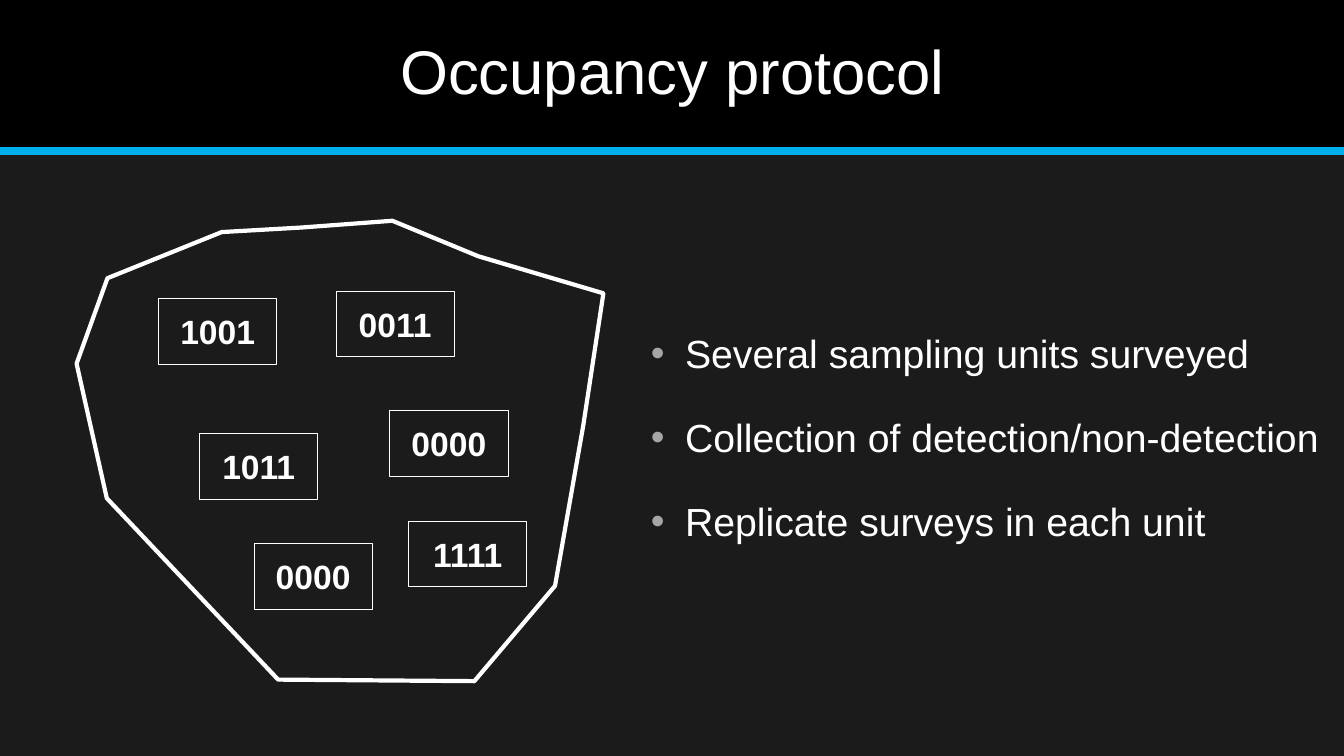
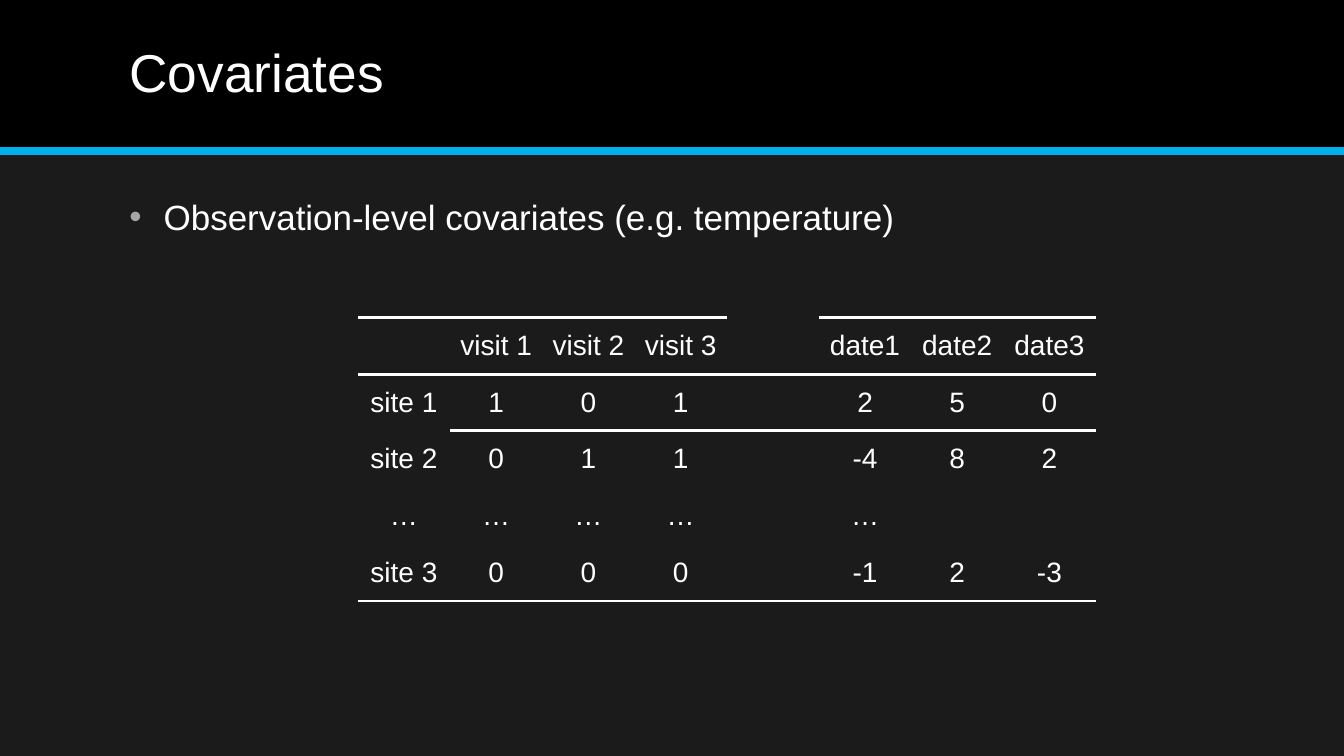
from typing import NamedTuple

from lxml import etree
from pptx import Presentation
from pptx.dml.color import RGBColor
from pptx.enum.shapes import MSO_CONNECTOR, MSO_SHAPE
from pptx.enum.text import MSO_ANCHOR, PP_ALIGN
from pptx.oxml.ns import qn
from pptx.util import Inches, Pt

LEFT, CENTER = PP_ALIGN.LEFT, PP_ALIGN.CENTER
TOP, MIDDLE = MSO_ANCHOR.TOP, MSO_ANCHOR.MIDDLE
RECT, STRAIGHT = MSO_SHAPE.RECTANGLE, MSO_CONNECTOR.STRAIGHT

WIDTH, HEIGHT = Inches(13.33), Inches(7.5)
FONT = "Arial"
BACK, BAND, ACCENT = "1B1B1B", "000000", "00B0EA"
WHITE, GREY = "FFFFFF", "A6A6A6"
PLAIN = "{2D5ABB26-0587-4C30-8999-92F81FD0307C}"
BAND_H = 20
PLOT_W, PLOT_H = 8.8, 8.7
GAP_COL = 4


class Box(NamedTuple):
    """A frame in percent of the slide's width and height."""
    x: float
    y: float
    w: float
    h: float


class Plot(NamedTuple):
    """A sampling unit: its corner in percent and its survey history."""
    x: float
    y: float
    text: str


HEAD = Box(8.8, 1.9, 82.5, 16)
AREA = [(16.5, 30.7), (8, 36.8), (5.7, 48.1), (7.95, 65.9), (20.7, 89.9),
        (35.3, 90.1), (41.3, 77.5), (43.4, 56.3), (44.9, 38.8),
        (35.6, 33.9), (29.2, 29.2), (22.4, 30.1)]
PLOTS = [
    Plot(11.8, 39.5, "1001"), Plot(25, 38.5, "0011"),
    Plot(14.85, 57.3, "1011"), Plot(29, 54.3, "0000"),
    Plot(18.9, 71.9, "0000"), Plot(30.4, 68.9, "1111"),
]
POINTS = [
    "Several sampling units surveyed",
    "Collection of detection/non-detection",
    "Replicate surveys in each unit",
]
ROWS = [
    ["", "visit 1", "visit 2", "visit 3", "", "date1", "date2", "date3"],
    ["site 1", "1", "0", "1", "", "2", "5", "0"],
    ["site 2", "0", "1", "1", "", "-4", "8", "2"],
    ["…", "…", "…", "…", "", "…", "", ""],
    ["site 3", "0", "0", "0", "", "-1", "2", "-3"],
]


def color(code: str) -> RGBColor:
    """Turn a hex string into a colour."""
    return RGBColor.from_string(code)


def across(share: float) -> int:
    """Turn a percentage of the slide's width into a length."""
    return round(WIDTH * share / 100)


def down(share: float) -> int:
    """Turn a percentage of the slide's height into a length."""
    return round(HEIGHT * share / 100)


def place(box: Box) -> tuple[int, int, int, int]:
    """Turn a box into left, top, width and height."""
    return across(box.x), down(box.y), across(box.w), down(box.h)


def bullet(para) -> None:
    """Give a paragraph a grey bullet and a hanging indent."""
    props = para._p.get_or_add_pPr()
    props.set("marL", str(Inches(0.34)))
    props.set("indent", str(-Inches(0.34)))
    tint = etree.SubElement(props, qn("a:buClr"))
    etree.SubElement(tint, qn("a:srgbClr"), val=GREY)
    etree.SubElement(props, qn("a:buFont"), typeface=FONT)
    etree.SubElement(props, qn("a:buChar"), char="•")


def write(frame, lines: list[str], *, size: float, align=LEFT, anchor=TOP,
          bold: bool = False, marks: bool = False, lead: float = 1,
          gap: float = 0) -> None:
    """Fill a text frame with one paragraph per line."""
    frame.word_wrap = True
    frame.vertical_anchor = anchor
    frame.margin_left = frame.margin_right = Inches(0.11)
    frame.margin_top = frame.margin_bottom = Inches(0.06)
    for row, line in enumerate(lines):
        para = frame.add_paragraph() if row else frame.paragraphs[0]
        if marks:
            bullet(para)
        para.alignment = align
        para.line_spacing = lead
        para.space_before = Pt(gap if row else 0)
        run = para.add_run()
        run.text = line
        run.font.name, run.font.size, run.font.bold = FONT, Pt(size), bold
        run.font.color.rgb = color(WHITE)


def label(slide, box: Box, lines: list[str], **form) -> None:
    """Add a text box."""
    write(slide.shapes.add_textbox(*place(box)).text_frame, lines, **form)


def outline(shape, weight: float) -> None:
    """Leave a shape unfilled with a white line."""
    shape.shadow.inherit = False
    shape.fill.background()
    shape.line.color.rgb = color(WHITE)
    shape.line.width = Pt(weight)


def start(deck, title: str, size: float, align=LEFT):
    """Add a slide with its background, band, rule and title."""
    slide = deck.slides.add_slide(deck.slide_layouts[6])
    slide.background.fill.solid()
    slide.background.fill.fore_color.rgb = color(BACK)
    band = slide.shapes.add_shape(RECT, *place(Box(0, 0, 100, BAND_H)))
    band.shadow.inherit = False
    band.fill.solid()
    band.fill.fore_color.rgb = color(BAND)
    band.line.fill.background()
    edge = down(BAND_H)
    rule = slide.shapes.add_connector(STRAIGHT, 0, edge, WIDTH, edge)
    rule.line.color.rgb = color(ACCENT)
    rule.line.width = Pt(6)
    etree.SubElement(rule._element.spPr, qn("a:effectLst"))
    label(slide, HEAD, [title], size=size, align=align, anchor=MIDDLE,
          lead=0.9)
    return slide


def survey(slide) -> None:
    """Draw the study area and its sampling units."""
    path = [(across(x), down(y)) for x, y in AREA]
    pen = slide.shapes.build_freeform(*path[0])
    pen.add_line_segments(path[1:], close=True)
    outline(pen.convert_to_shape(), 3)
    for plot in PLOTS:
        box = Box(plot.x, plot.y, PLOT_W, PLOT_H)
        shape = slide.shapes.add_shape(RECT, *place(box))
        outline(shape, 0.5)
        write(shape.text_frame, [plot.text], size=24, bold=True,
              align=CENTER, anchor=MIDDLE)


def ruled(edge: int, col: int) -> bool:
    """Tell whether a row edge carries a line in a column."""
    return {0: col != GAP_COL, 1: True, 2: col > 0,
            len(ROWS): True}.get(edge, False)


def border(cell, side: str, shown: bool) -> None:
    """Set one side of a cell to a white line or to none."""
    line = etree.SubElement(cell._tc.get_or_add_tcPr(), qn(f"a:ln{side}"))
    if shown:
        line.set("w", str(Pt(2.25)))
        fill = etree.SubElement(line, qn("a:solidFill"))
        etree.SubElement(fill, qn("a:srgbClr"), val=WHITE)
    else:
        etree.SubElement(line, qn("a:noFill"))


def grid(slide, box: Box) -> None:
    """Add the table of visits and dates."""
    rows, cols = len(ROWS), len(ROWS[0])
    table = slide.shapes.add_table(rows, cols, *place(box)).table
    table.first_row = table.horz_banding = False
    table._tbl.tblPr.find(qn("a:tableStyleId")).text = PLAIN
    for row, texts in enumerate(ROWS):
        for col, text in enumerate(texts):
            cell = table.cell(row, col)
            sides = {"L": False, "R": False, "T": ruled(row, col),
                     "B": ruled(row + 1, col)}
            for side, shown in sides.items():
                border(cell, side, shown)
            cell.fill.background()
            cell.vertical_anchor = MIDDLE
            cell.margin_left = cell.margin_right = Inches(0.05)
            if text:
                para = cell.text_frame.paragraphs[0]
                para.alignment = CENTER
                run = para.add_run()
                run.text = text
                run.font.name, run.font.size = FONT, Pt(20)
                run.font.color.rgb = color(WHITE)


def main() -> None:
    """Build and save the deck."""
    deck = Presentation()
    deck.slide_width, deck.slide_height = WIDTH, HEIGHT

    slide = start(deck, "Occupancy protocol", 44, CENTER)
    survey(slide)
    label(slide, Box(47.6, 42.8, 52.4, 29.7), POINTS, size=28, marks=True,
          gap=26.4)

    slide = start(deck, "Covariates", 38)
    label(slide, Box(8.8, 25.1, 82.5, 65),
          ["Observation-level covariates (e.g. temperature)"],
          size=25, marks=True)
    grid(slide, Box(26.63, 42, 54.9, 37.5))

    deck.save("out.pptx")


if __name__ == "__main__":
    main()
